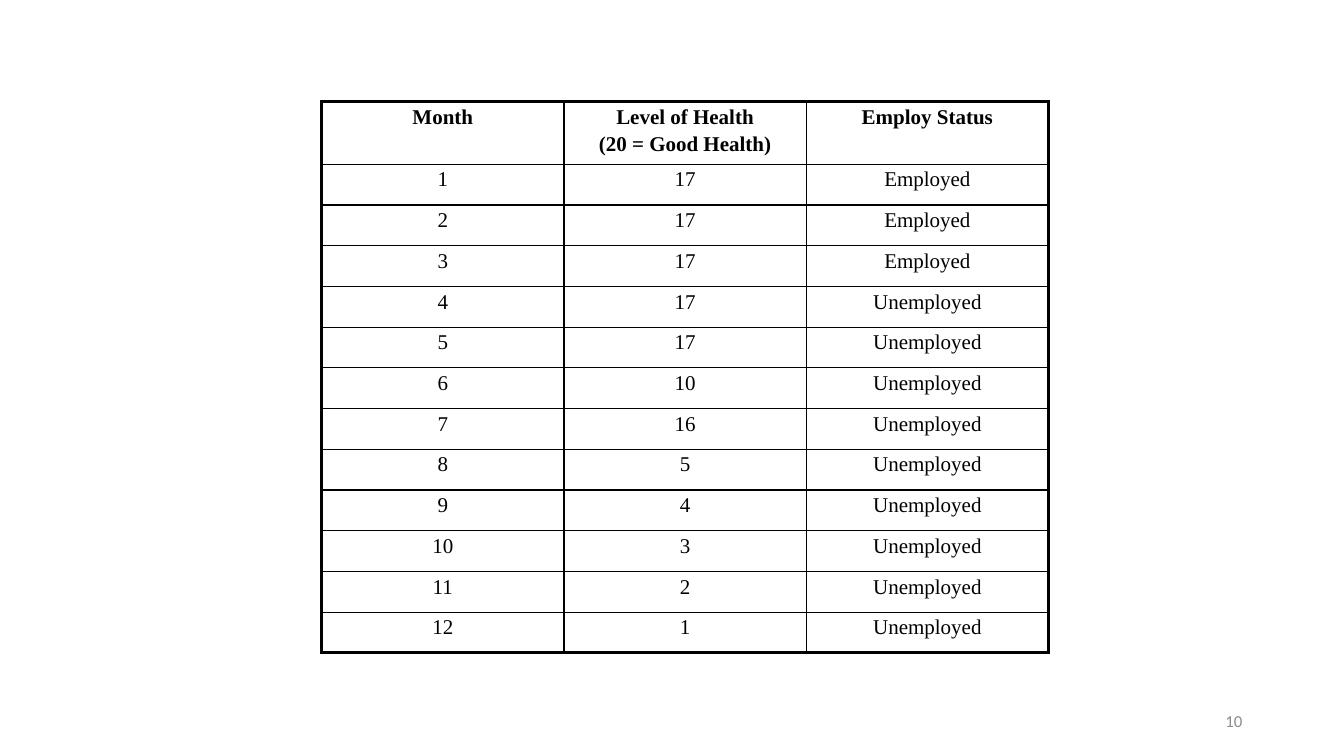
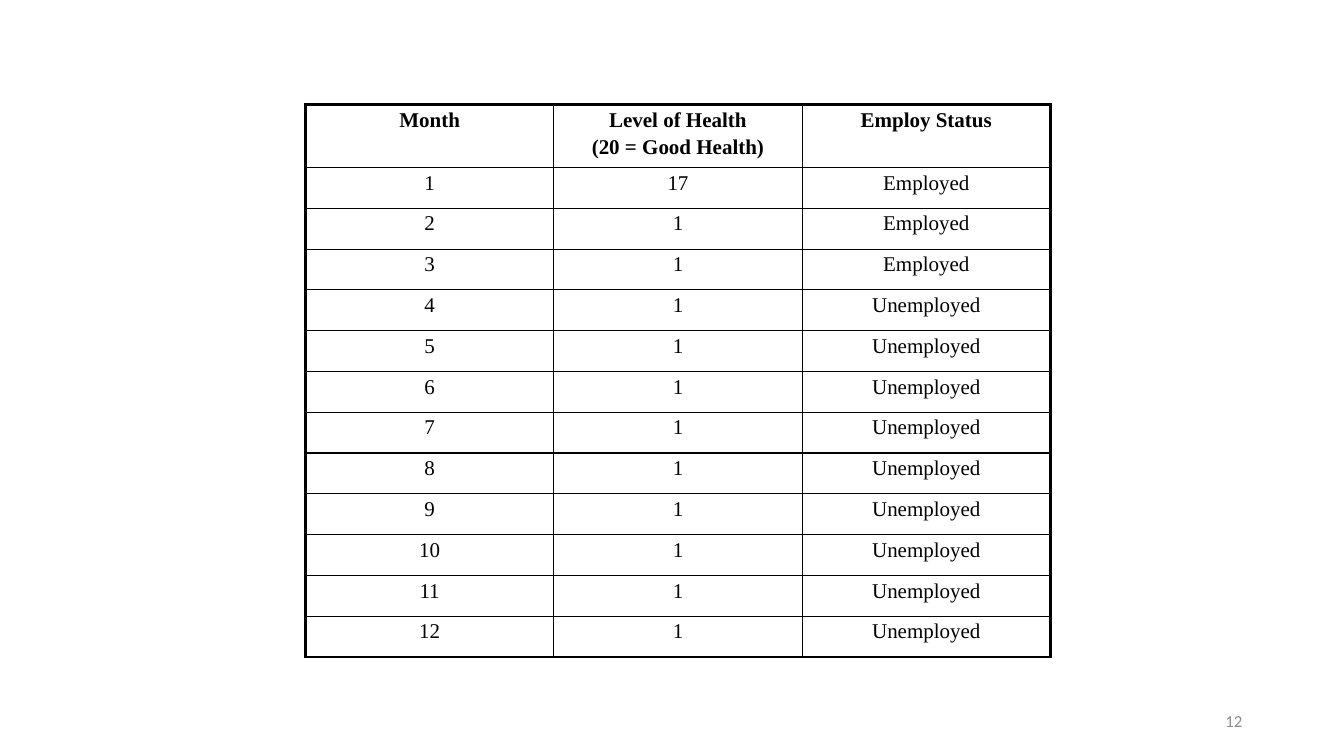
from pptx import Presentation
from pptx.dml.color import RGBColor
from pptx.enum.text import MSO_ANCHOR, PP_ALIGN
from pptx.oxml.ns import qn
from pptx.util import Inches, Pt
from lxml.etree import SubElement

# Shared style
BLACK = RGBColor(0x00, 0x00, 0x00)
GREY = RGBColor(0x8C, 0x8C, 0x8C)
TABLE_FONT = "Times New Roman"
NUMBER_FONT = "Calibri"
OUTER_LINE = Pt(2.25)
INNER_LINE = Pt(1)
HEADER_HEIGHT = Inches(0.62)
BLANK_LAYOUT = 6

# Shared content
HEADERS = ["Month", "Level of Health\n(20 = Good Health)", "Employ Status"]
STATUSES = ["Employed"] * 3 + ["Unemployed"] * 9

# Page number, table position and size, health level of each month
PAGES = [
    (10, (3.19, 1.01, 7.21, 5.47),
     [17, 17, 17, 17, 17, 10, 16, 5, 4, 3, 2, 1]),
    (12, (3.03, 1.04, 7.39, 5.48), [17] + [1] * 11),
]


def style_run(run, font_name, size, color, bold=False):
    run.font.name = font_name
    run.font.size = Pt(size)
    run.font.color.rgb = color
    run.font.bold = bold


def set_space_before(paragraph, percent):
    """Space before a paragraph, relative to its line height."""
    properties = paragraph._p.get_or_add_pPr()
    spacing = SubElement(properties, qn("a:spcBef"))
    SubElement(spacing, qn("a:spcPct"), val=str(percent * 1000))


def set_borders(cell, widths):
    """Draw black borders; widths maps the sides L, R, T and B in that order."""
    properties = cell._tc.get_or_add_tcPr()
    for side, width in widths.items():
        line = SubElement(properties, qn(f"a:ln{side}"), w=str(width))
        fill = SubElement(line, qn("a:solidFill"))
        SubElement(fill, qn("a:srgbClr"), val=str(BLACK))


def fill_cell(cell, text, bold):
    cell.margin_left = cell.margin_right = Inches(0.07)
    cell.margin_top = cell.margin_bottom = Inches(0.04)
    cell.text_frame.text = text
    for paragraph in cell.text_frame.paragraphs:
        paragraph.alignment = PP_ALIGN.CENTER
        set_space_before(paragraph, 20)
        for run in paragraph.runs:
            style_run(run, TABLE_FONT, 15, BLACK, bold)


def add_health_table(slide, box, levels):
    rows = [HEADERS]
    for month, (level, status) in enumerate(zip(levels, STATUSES), start=1):
        rows.append([str(month), str(level), status])
    left, top, width, height = map(Inches, box)
    last_row, last_column = len(rows) - 1, len(HEADERS) - 1
    table = slide.shapes.add_table(
        len(rows), len(HEADERS), left, top, width, height).table
    table.first_row = table.horz_banding = False

    # Header is taller; the months share the rest equally
    for row in table.rows:
        row.height = (height - HEADER_HEIGHT) // last_row
    table.rows[0].height = HEADER_HEIGHT

    for i, values in enumerate(rows):
        for j, text in enumerate(values):
            cell = table.cell(i, j)
            fill_cell(cell, text, bold=i == 0)
            on_edge = {"L": j == 0, "R": j == last_column,
                       "T": i == 0, "B": i == last_row}
            set_borders(cell, {side: OUTER_LINE if edge else INNER_LINE
                               for side, edge in on_edge.items()})
            cell.fill.background()


def add_page_number(slide, number):
    text_box = slide.shapes.add_textbox(
        Inches(9.42), Inches(6.95), Inches(3), Inches(0.4))
    text_frame = text_box.text_frame
    text_frame.word_wrap = True
    text_frame.vertical_anchor = MSO_ANCHOR.MIDDLE
    text_frame.text = str(number)
    paragraph = text_frame.paragraphs[0]
    paragraph.alignment = PP_ALIGN.RIGHT
    style_run(paragraph.runs[0], NUMBER_FONT, 12, GREY)


def main():
    presentation = Presentation()
    presentation.slide_width = Inches(13.33)
    presentation.slide_height = Inches(7.5)
    for number, box, levels in PAGES:
        slide = presentation.slides.add_slide(
            presentation.slide_layouts[BLANK_LAYOUT])
        add_health_table(slide, box, levels)
        add_page_number(slide, number)
    presentation.save("out.pptx")


main()
